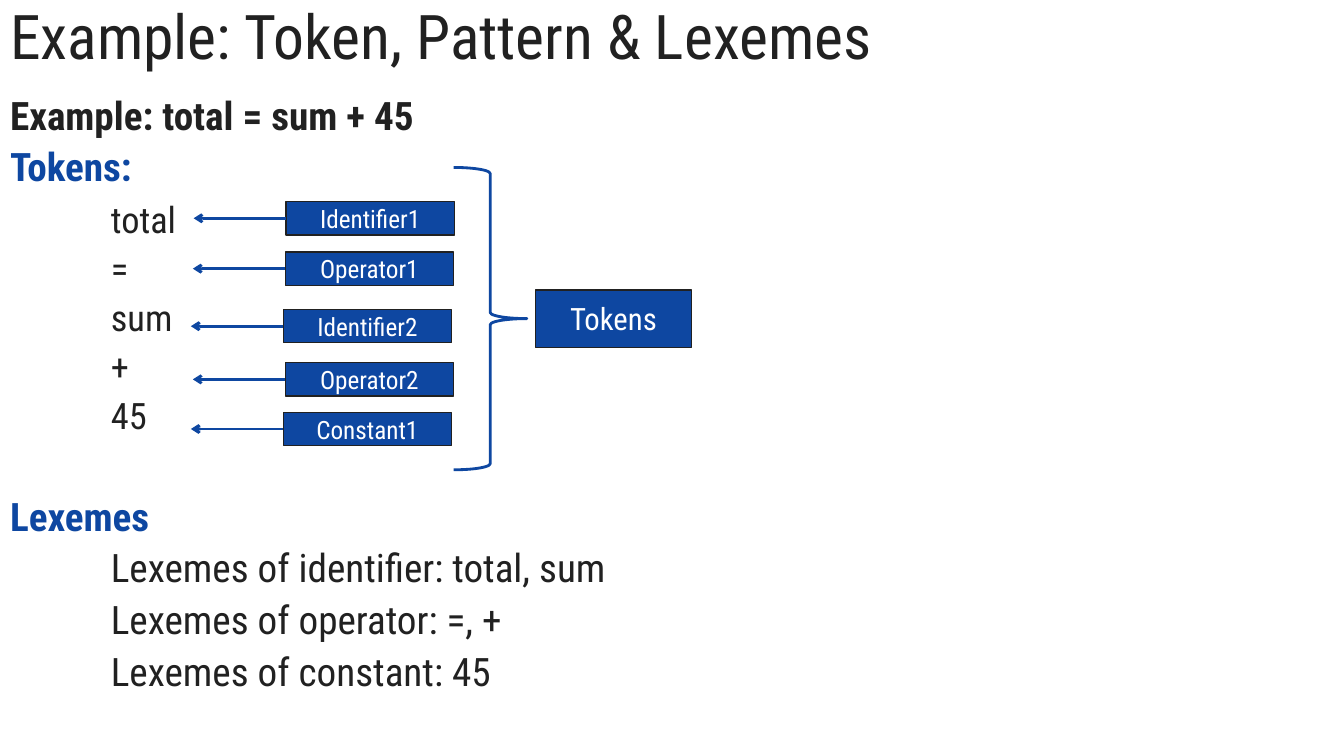
from dataclasses import dataclass

from lxml.etree import SubElement
from pptx import Presentation
from pptx.dml.color import RGBColor
from pptx.enum.shapes import MSO_CONNECTOR, MSO_SHAPE
from pptx.enum.text import MSO_ANCHOR, MSO_AUTO_SIZE, PP_ALIGN
from pptx.oxml.ns import qn
from pptx.util import Cm, Pt


@dataclass(frozen=True)
class Theme:
    font: str = "Roboto Condensed"
    ink: RGBColor = RGBColor(0x21, 0x21, 0x21)
    blue: RGBColor = RGBColor(0x0E, 0x47, 0xA1)
    white: RGBColor = RGBColor(0xFF, 0xFF, 0xFF)
    title: int = 44
    body: int = 28
    token: int = 26
    result: int = 22
    label: int = 18


@dataclass(frozen=True)
class Box:
    """A rectangle in centimetres."""
    x: float
    y: float
    w: float
    h: float

    def inner(self, dx, dy, w, h):
        return Box(self.x + dx, self.y + dy, w, h)

    def lengths(self):
        return Cm(self.x), Cm(self.y), Cm(self.w), Cm(self.h)


THEME = Theme()
INDENT = Cm(2.54)

# text, size, colour, bold, left margin, space before
BODY = [
    ("Example: total = sum + 45", THEME.body, THEME.ink, True, 0, 0),
    ("Tokens:", THEME.body, THEME.blue, True, 0, 10),
    ("total", THEME.token, THEME.ink, False, INDENT, 12),
    *[(token, THEME.token, THEME.ink, False, INDENT, 10)
      for token in ("=", "sum", "+", "45")],
    ("Lexemes", THEME.body, THEME.blue, True, 0, 46),
    *[(f"Lexemes of {lexemes}", THEME.body, THEME.ink, False, INDENT, 10)
      for lexemes in ("identifier: total, sum", "operator: =, +", "constant: 45")],
]

# text and offset inside the diagram
LABELS = [
    ("Identifier1", 0.07, 0.86),
    ("Operator1", 0.05, 2.13),
    ("Identifier2", 0, 3.58),
    ("Operator2", 0.05, 4.92),
    ("Constant1", 0, 6.17),
]


def add_run(p, text, size, color, bold=False):
    r = p.add_run()
    r.text = text
    r.font.name = THEME.font
    r.font.size = Pt(size)
    r.font.bold = bold
    r.font.color.rgb = color


def place(sp, box, anchor):
    """Move a placeholder to the box and return its text frame."""
    sp.left, sp.top, sp.width, sp.height = box.lengths()
    tf = sp.text_frame
    tf.auto_size = MSO_AUTO_SIZE.NONE
    tf.vertical_anchor = anchor
    return tf


def fill_title(s, box):
    p = place(s.shapes.title, box, MSO_ANCHOR.MIDDLE).paragraphs[0]
    p.alignment = PP_ALIGN.LEFT
    p.line_spacing = 0.9
    add_run(p, "Example: Token, Pattern & Lexemes", THEME.title, THEME.ink)


def fill_body(s, box):
    tf = place(s.placeholders[1], box, MSO_ANCHOR.TOP)
    for i, (text, size, color, bold, margin, before) in enumerate(BODY):
        p = tf.add_paragraph() if i else tf.paragraphs[0]
        pPr = p._p.get_or_add_pPr()
        pPr.set("marL", str(margin))
        pPr.set("indent", "0")
        SubElement(pPr, qn("a:buNone"))
        p.line_spacing = 0.8
        p.space_before = Pt(before)
        add_run(p, text, size, color, bold)


def add_label(s, box, text, size):
    sp = s.shapes.add_shape(MSO_SHAPE.RECTANGLE, *box.lengths())
    sp.shadow.inherit = False
    sp.fill.solid()
    sp.fill.fore_color.rgb = THEME.blue
    sp.line.color.rgb = THEME.ink
    sp.line.width = Pt(1)
    tf = sp.text_frame
    tf.vertical_anchor = MSO_ANCHOR.MIDDLE
    p = tf.paragraphs[0]
    p.alignment = PP_ALIGN.CENTER
    add_run(p, text, size, THEME.white)
    return sp


def add_arrow_left(s, label, length):
    """Draw an arrow from the left side of the label."""
    y = label.top + label.height // 2
    line = s.shapes.add_connector(
        MSO_CONNECTOR.STRAIGHT, label.left, y, label.left - length, y)
    line.begin_connect(label, 1)
    line.line.color.rgb = THEME.blue
    line.line.width = Pt(2)
    SubElement(line.line._get_or_add_ln(), qn("a:tailEnd"), type="arrow")
    SubElement(line._element.spPr, qn("a:effectLst"))


def add_diagram(s, box):
    """Draw the token labels, their brace and the box it points to."""
    for text, dx, dy in LABELS:
        label = add_label(s, box.inner(dx, dy, 4.24, 0.84), text, THEME.label)
        add_arrow_left(s, label, Cm(2.33))

    brace = s.shapes.add_shape(
        MSO_SHAPE.RIGHT_BRACE, *box.inner(4.29, 0, 1.85, box.h).lengths())
    brace.shadow.inherit = False
    brace.fill.background()
    brace.line.color.rgb = THEME.blue
    brace.line.width = Pt(2)

    w, h = 3.94, 1.45
    add_label(s, box.inner(box.w - w, (box.h - h) / 2, w, h), "Tokens", THEME.result)


def main():
    prs = Presentation()
    prs.slide_width, prs.slide_height = Cm(33.87), Cm(19.05)
    s = prs.slides.add_slide(prs.slide_layouts[1])
    fill_title(s, Box(0, 0, 33.87, 1.98))
    fill_body(s, Box(0, 2.39, 33.15, 15.52))
    add_diagram(s, Box(7.14, 4.22, 10.29, 7.62))
    prs.save("out.pptx")


if __name__ == "__main__":
    main()
